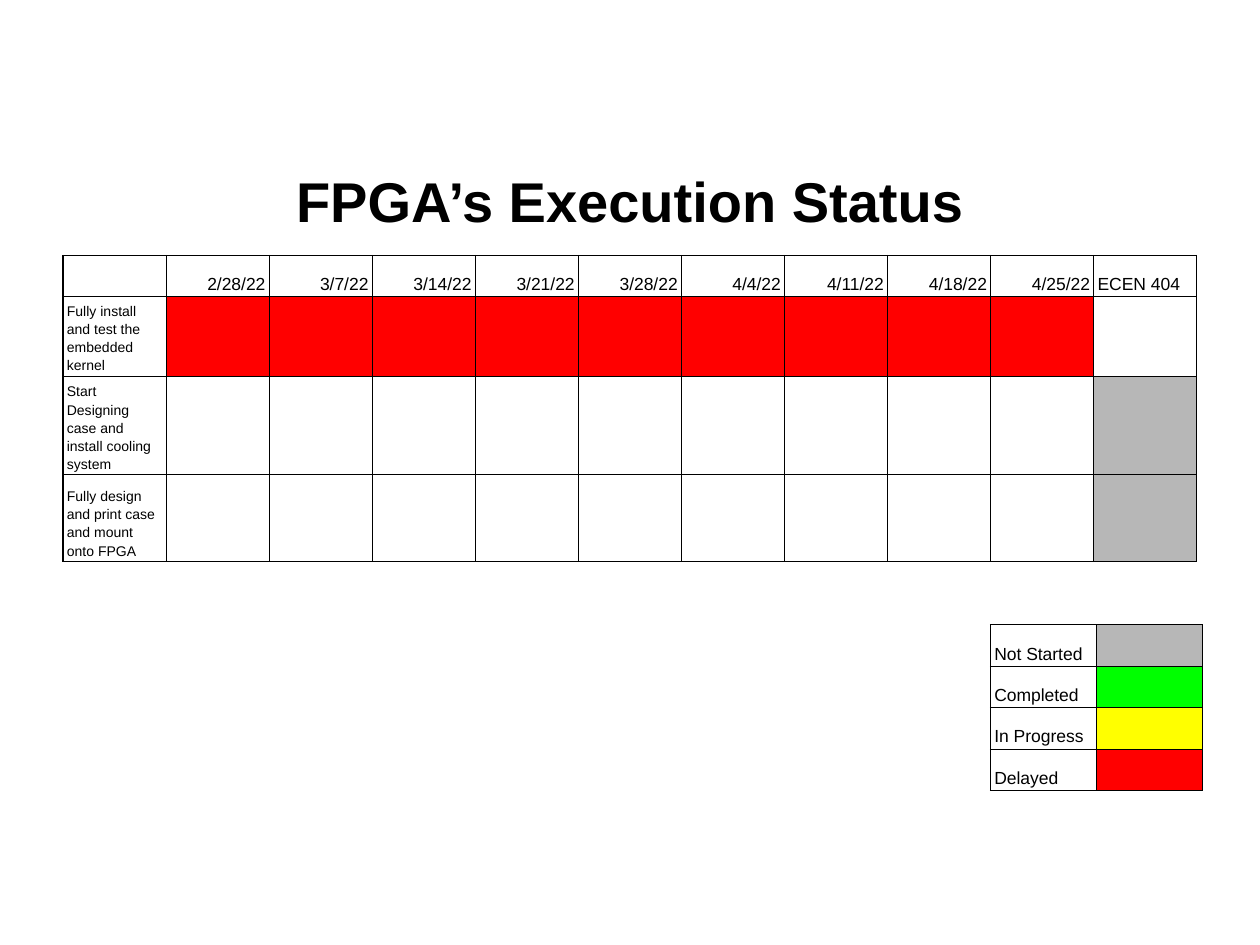
"""Build the FPGA execution status slide with its schedule and colour legend."""
from pptx import Presentation
from pptx import util as u
from pptx.dml.color import RGBColor
from pptx.enum import text
from pptx.oxml import parse_xml
from pptx.oxml.ns import nsdecls

COLORS = {
    "ink": "000000",
    "blank": "FFFFFF",
    "not_started": "B7B7B7",
    "completed": "00FF00",
    "in_progress": "FFFF00",
    "delayed": "FF0000",
}
DATES = ["2/28/22", "3/7/22", "3/14/22", "3/21/22", "3/28/22",
         "4/4/22", "4/11/22", "4/18/22", "4/25/22"]
TASKS = [
    ("Fully install and test the embedded kernel", "delayed", "blank"),
    ("Start Designing case and install cooling system", "blank", "not_started"),
    ("Fully design and print case and mount onto FPGA", "blank", "not_started"),
]
LEGEND = [("Not Started", "not_started"), ("Completed", "completed"),
          ("In Progress", "in_progress"), ("Delayed", "delayed")]


def write_text(frame, words, size=10, bold=False, align=text.PP_ALIGN.LEFT, spacing=1.15):
    paragraph = frame.paragraphs[0]
    paragraph.alignment = align
    paragraph.line_spacing = spacing
    run = paragraph.add_run()
    run.text = words
    run.font.name = "Arial"
    run.font.size = u.Pt(size)
    run.font.bold = bold
    run.font.color.rgb = RGBColor.from_string(COLORS["ink"])


def add_title(slide, words):
    shape = slide.shapes.add_textbox(u.Pt(36), u.Pt(82.8), u.Pt(648), u.Pt(63.4))
    frame = shape.text_frame
    frame.word_wrap = True
    frame.vertical_anchor = text.MSO_ANCHOR.MIDDLE
    write_text(frame, words, size=32, bold=True, align=text.PP_ALIGN.CENTER, spacing=1)


def style_cell(cell, color):
    cell.fill.solid()
    cell.fill.fore_color.rgb = RGBColor.from_string(COLORS[color])
    cell.vertical_anchor = text.MSO_ANCHOR.BOTTOM
    cell.margin_left = cell.margin_right = u.Pt(2.2)
    cell.margin_top = u.Pt(0)
    cell.margin_bottom = u.Pt(1.4)
    properties = cell._tc.get_or_add_tcPr()
    for index, side in enumerate(("lnL", "lnR", "lnT", "lnB")):
        properties.insert(index, parse_xml(
            f'<a:{side} {nsdecls("a")} w="{u.Pt(0.75)}"><a:solidFill>'
            f'<a:srgbClr val="{COLORS["ink"]}"/></a:solidFill></a:{side}>'))


def add_grid(slide, left, top, column_width, row_heights, rows):
    """Add a bordered table whose rows hold (words, color, format) cells."""
    columns = len(rows[0])
    table = slide.shapes.add_table(
        len(rows), columns, u.Pt(left), u.Pt(top),
        u.Pt(column_width * columns), u.Pt(sum(row_heights))).table
    table.first_row = table.horz_banding = False
    for column in table.columns:
        column.width = u.Pt(column_width)
    for row, height, entries in zip(table.rows, row_heights, rows):
        row.height = u.Pt(height)
        for cell, (words, color, style) in zip(row.cells, entries):
            style_cell(cell, color)
            if words:
                write_text(cell.text_frame, words, **style)
            else:
                cell.text_frame.paragraphs[0]._p.get_or_add_endParaRPr().set("sz", "800")


def add_schedule(slide):
    right = {"align": text.PP_ALIGN.RIGHT}
    header = [("", "blank", {}), *((date, "blank", right) for date in DATES),
              ("ECEN 404", "blank", {})]
    body = [[(task, "blank", {"size": 8}), *[("", weeks, {})] * len(DATES), ("", later, {})]
            for task, weeks, later in TASKS]
    add_grid(slide, 36, 146, 648 / len(header), [23.5, 44.5, 55.5, 49.5], [header, *body])


def add_legend(slide):
    rows = [[(label, "blank", {}), ("", color, {})] for label, color in LEGEND]
    add_grid(slide, 566, 357, 60.5, [23.7] * len(rows), rows)


def main():
    presentation = Presentation()
    presentation.slide_width, presentation.slide_height = u.Pt(720), u.Pt(540)
    slide = presentation.slides.add_slide(presentation.slide_layouts[6])
    add_title(slide, "FPGA’s Execution Status")
    add_schedule(slide)
    add_legend(slide)
    presentation.save("out.pptx")


if __name__ == "__main__":
    main()
